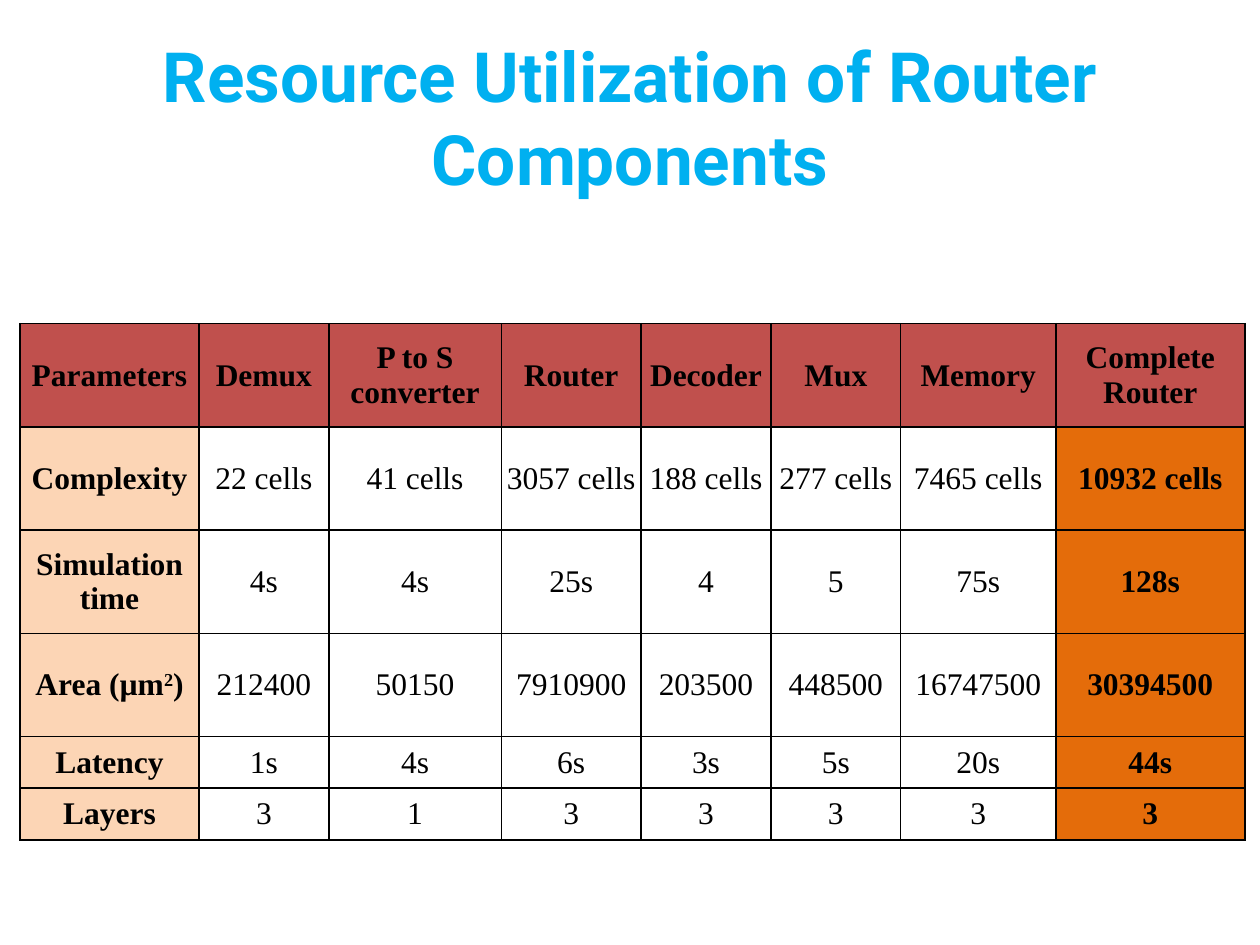
from dataclasses import dataclass

from pptx import Presentation
from pptx.dml.color import RGBColor
from pptx.enum.text import MSO_ANCHOR as Anchor, PP_ALIGN as Align
from pptx.oxml import parse_xml
from pptx.oxml.ns import nsdecls
from pptx.util import Pt


@dataclass(frozen=True)
class Theme:
    title_color: str = "00B0F0"
    ink: str = "000000"
    header: str = "C0504D"
    parameter: str = "FCD5B5"
    total: str = "E46C0A"
    title_font: str = "Roboto"
    table_font: str = "Times New Roman"
    title_size: float = 39.6
    table_size: float = 18
    border: float = 1


THEME = Theme()
TITLE = "Resource Utilization of Router Components"
UTILIZATION = [
    ["Parameters", "Demux", "P to S converter", "Router", "Decoder", "Mux", "Memory", "Complete Router"],
    ["Complexity", "22 cells", "41 cells", "3057 cells", "188 cells", "277 cells", "7465 cells", "10932 cells"],
    ["Simulation time", "4s", "4s", "25s", "4", "5", "75s", "128s"],
    ["Area (µm^2^)", "212400", "50150", "7910900", "203500", "448500", "16747500", "30394500"],
    ["Latency", "1s", "4s", "6s", "3s", "5s", "20s", "44s"],
    ["Layers", "3", "1", "3", "3", "3", "3", "3"],
]
COLUMN_WIDTHS = [102.2, 74.2, 98.6, 79.9, 74.2, 74.2, 88.6, 108]
ROW_HEIGHTS = [59, 59, 59, 59, 29.5, 29.5]


def style_font(font, name, size, color, bold):
    font.name = name
    font.size = Pt(size)
    font.bold = bold
    font.color.rgb = RGBColor.from_string(color)


def add_title(slide, left, top, width, height):
    title = slide.shapes.add_textbox(Pt(left), Pt(top), Pt(width), Pt(height))
    frame = title.text_frame
    frame.word_wrap = True
    frame.vertical_anchor = Anchor.MIDDLE
    frame.text = TITLE
    heading = frame.paragraphs[0]
    heading.alignment = Align.CENTER
    style_font(heading.runs[0].font, THEME.title_font, THEME.title_size, THEME.title_color, True)


def add_borders(cell):
    properties = cell._tc.get_or_add_tcPr()
    for side in "LRTB":
        properties.append(parse_xml(
            f'<a:ln{side} {nsdecls("a")} w="{Pt(THEME.border)}"><a:solidFill>'
            f'<a:srgbClr val="{THEME.ink}"/></a:solidFill></a:ln{side}>'))


def fill_cell(cell, text, color, bold):
    cell.margin_left = cell.margin_right = cell.margin_top = cell.margin_bottom = 0
    cell.vertical_anchor = Anchor.MIDDLE
    add_borders(cell)
    if color:
        cell.fill.solid()
        cell.fill.fore_color.rgb = RGBColor.from_string(color)
    else:
        cell.fill.background()
    entry = cell.text_frame.paragraphs[0]
    entry.alignment = Align.CENTER
    for index, part in enumerate(text.split("^")):
        run = entry.add_run()
        run.text = part
        style_font(run.font, THEME.table_font, THEME.table_size, THEME.ink, bold)
        if index % 2:
            run._r.get_or_add_rPr().set("baseline", "30000")


def cell_color(row, column):
    if row == 0:
        return THEME.header
    return {0: THEME.parameter, len(COLUMN_WIDTHS) - 1: THEME.total}.get(column)


def add_utilization_table(slide, left, top):
    table = slide.shapes.add_table(
        len(ROW_HEIGHTS), len(COLUMN_WIDTHS), Pt(left), Pt(top),
        Pt(sum(COLUMN_WIDTHS)), Pt(sum(ROW_HEIGHTS))).table
    table.first_row = table.horz_banding = False
    for column, width in zip(table.columns, COLUMN_WIDTHS):
        column.width = Pt(width)
    for row, height in zip(table.rows, ROW_HEIGHTS):
        row.height = Pt(height)
    for r, entries in enumerate(UTILIZATION):
        for c, text in enumerate(entries):
            color = cell_color(r, c)
            fill_cell(table.cell(r, c), text, color, color is not None)


def main():
    deck = Presentation()
    deck.slide_width, deck.slide_height = Pt(720), Pt(540)
    slide = deck.slides.add_slide(deck.slide_layouts[6])
    add_title(slide, 0, 21.6, 720, 90)
    add_utilization_table(slide, 11.5, 185)
    deck.save("out.pptx")


if __name__ == "__main__":
    main()
